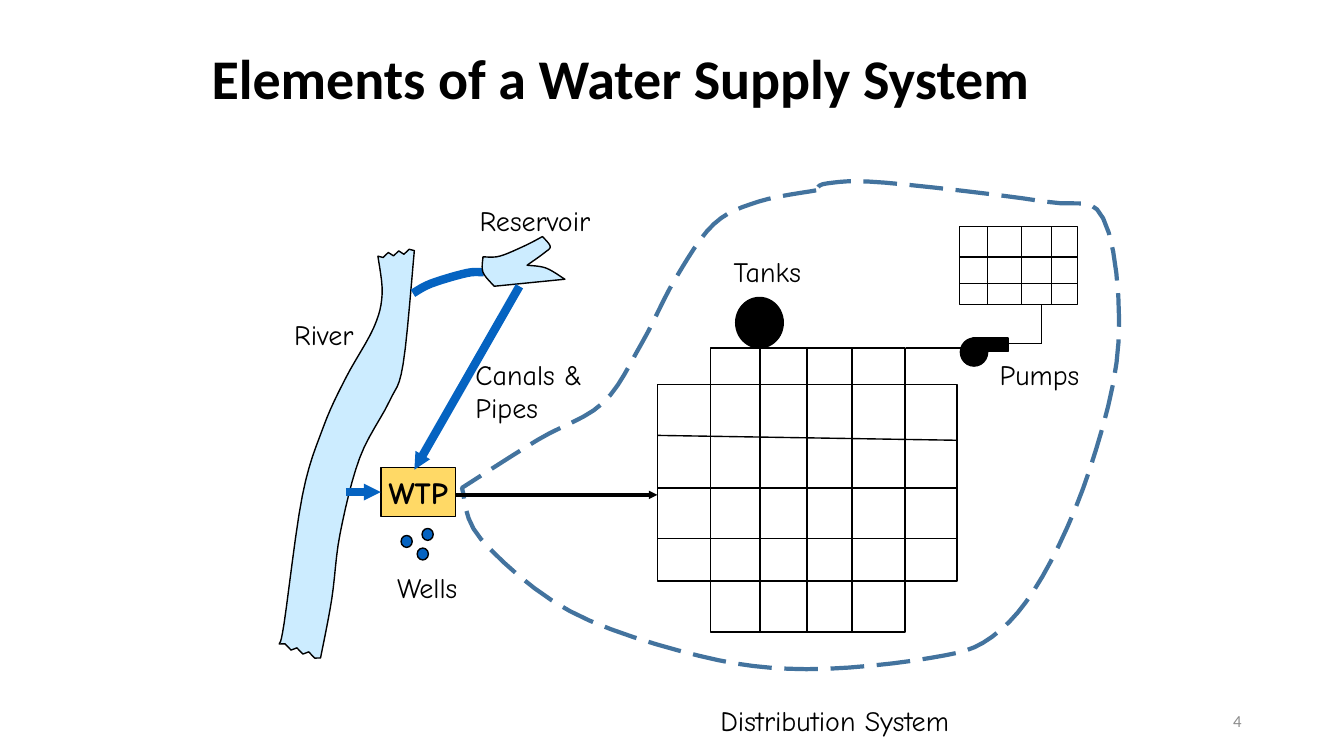
"""Build the slide on the elements of a water supply system."""
from lxml import etree
from pptx import Presentation
from pptx import util as u
from pptx.dml.color import RGBColor
from pptx.enum import dml, shapes, text
from pptx.oxml.ns import qn

COLORS = {"ink": "000000", "water": "CCECFF", "pipe": "0563C1", "plant": "FFD966",
          "boundary": "43739E", "number": "8C8C8C"}
RECT, OVAL = shapes.MSO_SHAPE.RECTANGLE, shapes.MSO_SHAPE.OVAL
CURVE_STEPS = 6
TEAR_STEPS, TEAR_DEPTH = 7, 1.5

deck = Presentation()
deck.slide_width, deck.slide_height = u.Pt(960), u.Pt(540)
slide = deck.slides.add_slide(deck.slide_layouts[6])


def smooth(anchors):
    """Return points on a Catmull-Rom curve through the anchors."""
    padded = [anchors[0], *anchors, anchors[-1]]
    points = [anchors[0]]
    for before, start, end, after in zip(padded, padded[1:], padded[2:], padded[3:]):
        for step in range(1, CURVE_STEPS + 1):
            t = step / CURVE_STEPS
            points.append(tuple(
                b + (c - a) * t / 2 + (2 * a - 5 * b + 4 * c - d) * t**2 / 2
                + (3 * b - a - 3 * c + d) * t**3 / 2
                for a, b, c, d in zip(before, start, end, after)))
    return points


def paint(part, line="ink", width=1, fill=None):
    """Set the outline of a shape, and its fill if it has one."""
    part.shadow.inherit = False
    part.line.color.rgb = RGBColor.from_string(COLORS[line])
    part.line.width = u.Pt(width)
    if fill:
        part.fill.solid()
        part.fill.fore_color.rgb = RGBColor.from_string(COLORS[fill])
    else:
        part.fill.background()


west_bank = [(270, 183), (273, 210), (267, 234), (247, 270), (231, 305), (216, 354),
             (203, 445), (199.5, 460)]
east_bank = [(229, 470), (237, 428), (243, 381), (257, 327), (278, 287), (288, 260),
             (296, 179)]
river = []
for bank, next_bank in [(west_bank, east_bank), (east_bank, west_bank)]:
    river += smooth(bank)
    (x, y), (next_x, next_y) = bank[-1], next_bank[0]
    for step in range(1, TEAR_STEPS):
        share = step / TEAR_STEPS
        tear = TEAR_DEPTH * (-1) ** step
        river.append((x + (next_x - x) * share, y + (next_y - y) * share + tear))

dam, south_tip, fork, north_tip = (345, 183.5), (403.5, 199.5), (376.5, 189.5), (387.5, 169)
reservoir = [
    *smooth([dam, (345, 194.5), (353, 204.5)]),
    *smooth([south_tip, (390, 191.5), fork]),
    *smooth([fork, (389, 180.5), (393, 176), north_tip]),
    *smooth([north_tip, (375, 175.5), (357, 183), dam]),
]
canal = smooth([(295, 209.5), (308, 202.5), (333.5, 195), (345.5, 194.5)])

north, outlet = (583, 136), (330, 348.5)
west_side = [north, (542, 144), (510, 160), (482.5, 199), (458.5, 245), (430.5, 288),
             (384.5, 314), outlet]
south_side = [(343.5, 385), (407, 436.5), (499.5, 468.5), (576, 478), (664.5, 470)]
east_side = [(708.5, 455), (744.5, 412), (778.5, 335), (799, 244), (788, 156)]
north_side = [(746, 144), (632, 130.5), (591, 131), north]
boundary = smooth(west_side) + smooth([outlet, *south_side, *east_side, *north_side])

for outline, closed, style in [
    (river, True, {"fill": "water"}),
    (canal, False, {"line": "pipe", "width": 6}),
    (reservoir, True, {"fill": "water"}),
    (boundary, True, {"line": "boundary", "width": 3}),
]:
    points = [(u.Pt(x), u.Pt(y)) for x, y in outline]
    builder = slide.shapes.build_freeform(*points[0], scale=1)
    builder.add_line_segments(points[1:], close=closed)
    water_body = builder.convert_to_shape()
    paint(water_body, **style)
    if outline is boundary:
        water_body.line.dash_style = dml.MSO_LINE.LONG_DASH

zones = [
    {"frame": (469.5, 274.5, 214, 140.5), "columns": [], "rows": [(36.5, 3.5), (74, 0), (110, 0)]},
    {"frame": (507.5, 248.5, 139, 203), "columns": [35.5, 69, 101], "rows": []},
    {"frame": (685.5, 162, 84, 55.5), "columns": [20, 44, 65.5], "rows": [(21.5, 0), (40.5, 0)]},
]
pump_links = [(647, 248.5, 688, 248.5), (720.5, 245.5, 744, 245.5), (744, 245.5, 744, 217.5)]
pipes = [(link, "ink", 1) for link in pump_links]
for zone in zones:
    left, top, width, height = zone["frame"]
    paint(slide.shapes.add_shape(RECT, *map(u.Pt, zone["frame"])))
    for offset in zone["columns"]:
        pipes.append(((left + offset, top, left + offset, top + height), "ink", 1))
    for offset, drop in zone["rows"]:
        pipes.append(((left, top + offset, left + width, top + offset + drop), "ink", 1))

plant = slide.shapes.add_shape(RECT, u.Pt(272), u.Pt(334), u.Pt(53.5), u.Pt(35))
paint(plant, fill="plant")
tank = (OVAL, (525.5, 212.5, 34, 36), "ink")
pump = [(OVAL, (686, 241.5, 19.5, 20), "ink"), (RECT, (695, 241.5, 25, 9.5), "ink")]
wells = [(OVAL, (x, y, 8, 8.5), "pipe") for x, y in [(298, 391.5), (301.5, 377.5), (286.5, 382.5)]]
for kind, place, fill in [tank, *pump, *wells]:
    paint(slide.shapes.add_shape(kind, *map(u.Pt, place)), fill=fill)

river_intake = ((247, 351.5, 272, 351.5), "pipe", 6)
reservoir_pipe = ((371, 204.5, 296, 335.5), "pipe", 6)
supply_main = ((326, 353.5, 469.5, 353.5), "ink", 3)
flows = [river_intake, reservoir_pipe, supply_main]
for ends, color, width in pipes + flows:
    pipe = slide.shapes.add_connector(shapes.MSO_CONNECTOR.STRAIGHT, *map(u.Pt, ends))
    pipe.line.color.rgb = RGBColor.from_string(COLORS[color])
    pipe.line.width = u.Pt(width)
    properties = pipe.element.spPr
    if width > 1:
        etree.SubElement(properties.find(qn("a:ln")), qn("a:tailEnd"),
                         type="triangle", w="sm", len="sm")
    etree.SubElement(properties, qn("a:effectLst"))

MIDDLE = {"vertical_anchor": text.MSO_ANCHOR.MIDDLE}
label_frame = {"word_wrap": False, "auto_size": text.MSO_AUTO_SIZE.SHAPE_TO_FIT_TEXT}
label_font = {"name": "Comic Neue", "size": u.Pt(20)}
labels = [
    ("Wells", (276.5, 404, 67.5, 31.5)),
    ("Distribution System", (507.5, 499, 205, 31.5)),
    ("Reservoir", (335.5, 142, 105, 31.5)),
    ("Canals &\nPipes", (332.5, 251.5, 93, 55.5)),
    ("River", (203, 223, 63.5, 31.5)),
    ("Tanks", (517, 178.5, 70, 31.5)),
    ("Pumps", (707, 251.5, 72, 31.5)),
]
captions = [(words, place, label_frame, {"alignment": text.PP_ALIGN.LEFT}, label_font, "ink")
            for words, place in labels]
captions += [
    ("WTP", None, {"word_wrap": False, **MIDDLE}, {"alignment": text.PP_ALIGN.CENTER},
     {"name": "Comic Neue", "size": u.Pt(22), "bold": True}, "ink"),
    ("Elements of a Water Supply System", (144, 13, 666, 90), {"word_wrap": True, **MIDDLE},
     {"line_spacing": 0.9}, {"name": "Calibri", "size": u.Pt(40), "bold": True}, "ink"),
    ("4", (678, 500.5, 216, 29), {"word_wrap": True, **MIDDLE},
     {"alignment": text.PP_ALIGN.RIGHT}, {"name": "Calibri", "size": u.Pt(12)}, "number"),
]
for words, place, frame_format, paragraph_format, font_format, color in captions:
    holder = slide.shapes.add_textbox(*map(u.Pt, place)) if place else plant
    frame = holder.text_frame
    frame.text = words
    formats = [(frame, frame_format)]
    for paragraph in frame.paragraphs:
        formats += [(paragraph, paragraph_format), (paragraph.font, font_format)]
        paragraph.font.color.rgb = RGBColor.from_string(COLORS[color])
    for target, values in formats:
        for name, value in values.items():
            setattr(target, name, value)

deck.save("out.pptx")
